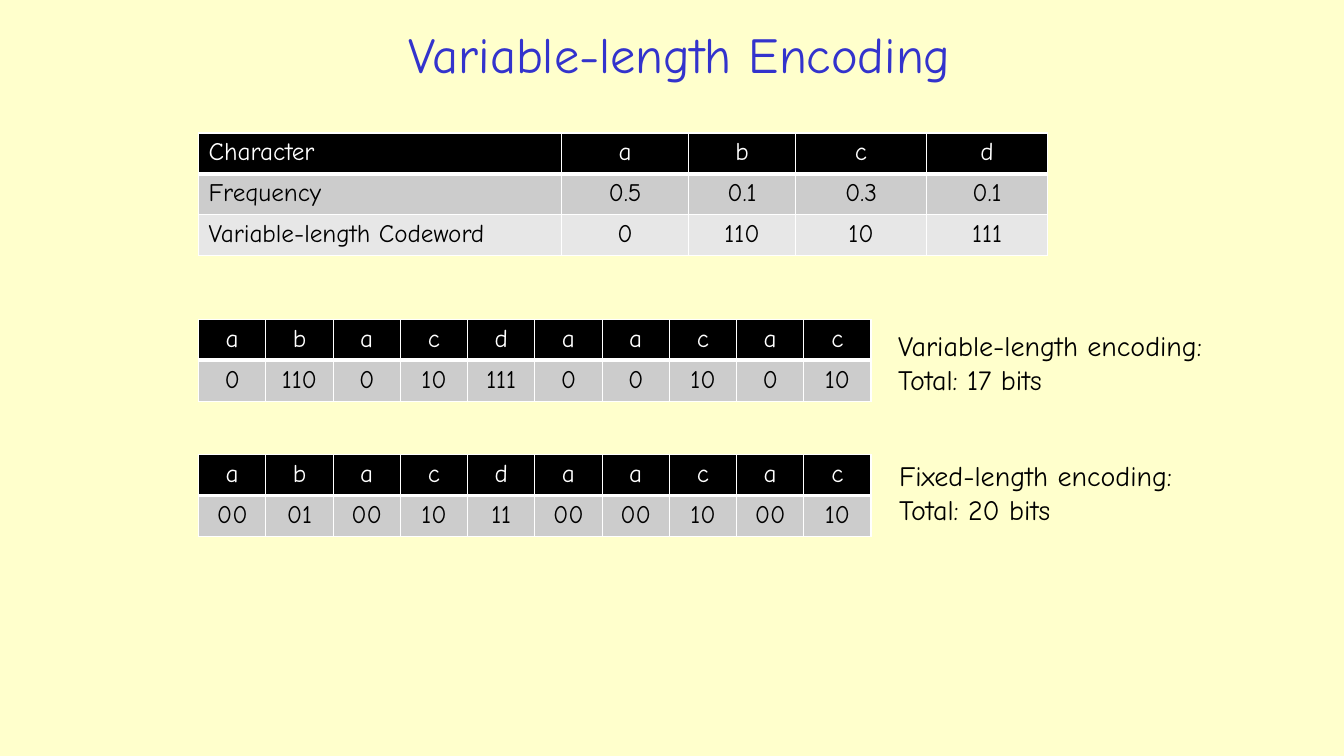
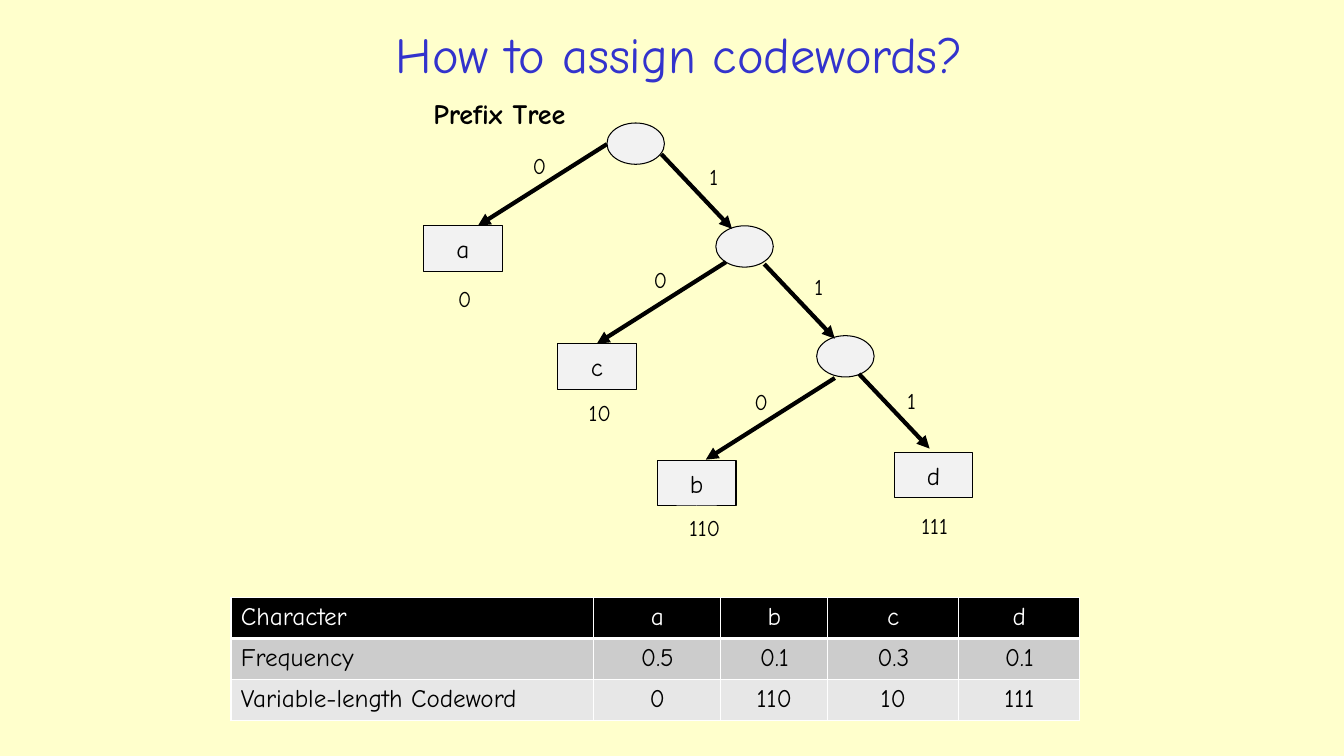
from pptx import Presentation, util as u
from pptx.dml.color import RGBColor
from pptx.enum import shapes, text
from pptx.oxml import parse_xml
from pptx.oxml.ns import nsdecls, qn

PX = 9144  # 100 px to the inch
FONT = "Comic Neue"
CREAM = RGBColor(0xFF, 0xFF, 0xCC)
BLUE = RGBColor(0x33, 0x33, 0xCC)
BLACK = RGBColor(0, 0, 0)
WHITE = RGBColor(0xFF, 0xFF, 0xFF)
PALE = RGBColor(0xF2, 0xF2, 0xF2)
BANDS = [BLACK, RGBColor(0xCC, 0xCC, 0xCC), RGBColor(0xE7, 0xE7, 0xE7)]
LEFT, MID = text.PP_ALIGN.LEFT, text.PP_ALIGN.CENTER

# Content
SHORT = {"a": "0", "b": "110", "c": "10", "d": "111"}
FIXED = {"a": "00", "b": "01", "c": "10", "d": "11"}
MESSAGE = "abacdaacac"
CODES = [
    ["Character", *SHORT],
    ["Frequency", "0.5", "0.1", "0.3", "0.1"],
    ["Variable-length Codeword", *SHORT.values()],
]
WIDTHS = [360, 126, 106, 130, 120]
ROW = 40.5

# name, code, top of table, left and top of note, width of note
SAMPLES = [
    ("Variable-length", SHORT, 317, (881, 321, 352, 77)),
    ("Fixed-length", FIXED, 451, (882, 450, 317, 77)),
]

# Tree: places of forks and leaves, starts of edges, centres of labels
FORKS = [(602, 122), (710, 224), (810, 333)]
FORK = (57, 41)
LEAF = (78, 45)
LEAVES = {  # box corner, codeword centre
    "a": ((420, 224), (461, 296)),
    "c": ((553, 341), (595, 409)),
    "b": ((652, 457), (699, 523)),
    "d": ((887, 449), (927, 521)),
}
EDGES = {  # bit: (step, [(start, label centre)])
    "0": ((-128, 81), [((602, 143), (535, 164)),
                       ((720, 260), (655, 277)),
                       ((828, 375), (755, 398))]),
    "1": ((70, 74), [((656, 153), (708, 175)),
                     ((758, 262), (812, 284)),
                     ((852, 371), (904, 397))]),
}


def emu(*sizes):
    return [round(size * PX) for size in sizes]


def write(frame, lines, size, color=BLACK, align=LEFT, bold=False):
    look = {"name": FONT, "size": u.Pt(size), "bold": bold}
    frame.text = "\n".join(lines)
    for para in frame.paragraphs:
        para.alignment = align
        for run in para.runs:
            for key, value in look.items():
                setattr(run.font, key, value)
            run.font.color.rgb = color


def add_note(slide, box, lines, size, **look):
    frame = slide.shapes.add_textbox(*emu(*box)).text_frame
    frame.word_wrap = False
    frame.auto_size = text.MSO_AUTO_SIZE.SHAPE_TO_FIT_TEXT
    write(frame, lines, size, **look)


def add_label(slide, centre, word):
    x, y = centre
    add_note(slide, (x - 30, y - 18, 60, 37), [word], 16, align=MID)


def add_grid(slide, x, y, rows, widths):
    """Add a table with a black head row and grey bands."""
    box = emu(x, y, sum(widths), ROW * len(rows))
    grid = slide.shapes.add_table(len(rows), len(widths), *box).table
    for col, width in zip(grid.columns, emu(*widths)):
        col.width = width
    for r, row in enumerate(rows):
        for c, word in enumerate(row):
            cell = grid.cell(r, c)
            align = LEFT if word == rows[r][0] and len(word) > 3 else MID
            write(cell.text_frame, [word], 18, BLACK if r else WHITE, align)
            add_rules(cell, head=r == 0)
            cell.fill.solid()
            cell.fill.fore_color.rgb = BANDS[r]


def add_rules(cell, head):
    props = cell._tc.get_or_add_tcPr()
    for side in "LRTB":
        points = 3 if head and side == "B" else 1
        props.append(parse_xml(
            f'<a:ln{side} {nsdecls("a")} w="{u.Pt(points)}"><a:solidFill>'
            f'<a:srgbClr val="{WHITE}"/></a:solidFill></a:ln{side}>'))


def add_node(slide, kind, place, size, word=""):
    node = slide.shapes.add_shape(kind, *emu(*place, *size))
    node.shadow.inherit = False
    node.fill.solid()
    node.fill.fore_color.rgb = PALE
    node.line.color.rgb = BLACK
    node.line.width = u.Pt(0.75)
    if word:
        write(node.text_frame, [word], 18, align=MID)


def add_arrow(slide, start, step):
    (x, y), (dx, dy) = start, step
    arrow = slide.shapes.add_connector(
        shapes.MSO_CONNECTOR.STRAIGHT, *emu(x, y, x + dx, y + dy))
    arrow.line.color.rgb = BLACK
    arrow.line.width = u.Pt(3)
    props = arrow._element.spPr
    props.find(qn("a:ln")).append(
        parse_xml(f'<a:tailEnd {nsdecls("a")} type="triangle"/>'))
    props.append(parse_xml(f'<a:effectLst {nsdecls("a")}/>'))


def add_slide(deck, title):
    slide = deck.slides.add_slide(deck.slide_layouts[5])
    frame = slide.shapes.title.text_frame
    frame.auto_size = text.MSO_AUTO_SIZE.NONE
    frame.vertical_anchor = text.MSO_ANCHOR.MIDDLE
    write(frame, [title], 36, BLUE, MID)
    return slide


def set_master(deck):
    deck.slide_width, deck.slide_height = emu(1333, 750)
    back = deck.slide_master.background.fill
    back.solid()
    back.fore_color.rgb = CREAM
    title = deck.slide_layouts[5].placeholders[0]
    title.left, title.top, title.width, title.height = emu(197, 15, 954, 76)


def add_samples(deck):
    slide = add_slide(deck, "Variable-length Encoding")
    add_grid(slide, 197, 132, CODES, WIDTHS)
    for name, code, top, box in SAMPLES:
        words = [code[char] for char in MESSAGE]
        add_grid(slide, 197, top, [list(MESSAGE), words],
                 [66.7] * len(MESSAGE))
        total = len("".join(words))
        add_note(slide, box, [f"{name} encoding:", f"Total: {total} bits"], 20)


def add_tree(deck):
    slide = add_slide(deck, "How to assign codewords?")
    for place in FORKS:
        add_node(slide, shapes.MSO_SHAPE.OVAL, place, FORK)
    for char, (place, centre) in LEAVES.items():
        add_node(slide, shapes.MSO_SHAPE.RECTANGLE, place, LEAF, char)
        add_label(slide, centre, SHORT[char])
    for bit, (step, edges) in EDGES.items():
        for start, centre in edges:
            add_arrow(slide, start, step)
            add_label(slide, centre, bit)
    add_note(slide, (420, 91, 179, 44), ["Prefix Tree"], 20, bold=True)
    add_grid(slide, 229, 593, CODES, WIDTHS)


def main():
    deck = Presentation()
    set_master(deck)
    add_samples(deck)
    add_tree(deck)
    deck.save("out.pptx")


if __name__ == "__main__":
    main()
